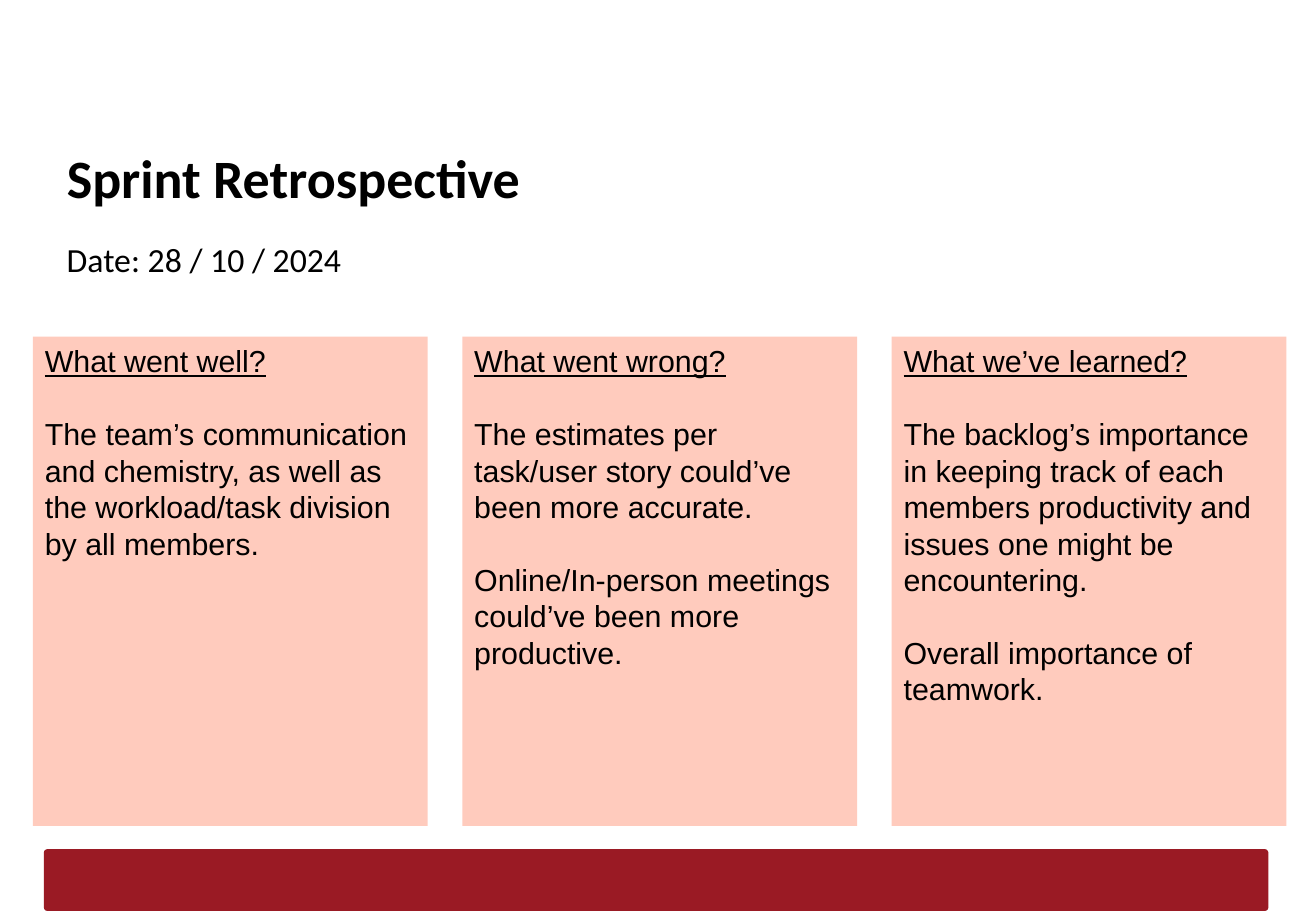
import dataclasses

import pptx
import pptx.dml.color
import pptx.enum.shapes
import pptx.enum.text
import pptx.presentation
import pptx.shapes.autoshape
import pptx.slide
import pptx.text.text
import pptx.util

Pt = pptx.util.Pt

COLORS: dict[str, str] = {
    "text": "000000",
    "column": "FFCBBD",
    "footer": "9A1A24",
}
COLUMN_LEFT = 19.5
COLUMN_TOP = 199.5
COLUMN_WIDTH = 234
COLUMN_HEIGHT = 290
COLUMN_PITCH = 254.5
COLUMN_LINE = 21.6


@dataclasses.dataclass(frozen=True)
class Box:
    left: float
    top: float
    width: float
    height: float

    def lengths(self) -> tuple[pptx.util.Length, ...]:
        return tuple(Pt(value) for value in dataclasses.astuple(self))


@dataclasses.dataclass(frozen=True)
class Column:
    heading: str
    remarks: tuple[str, ...]


COLUMNS = (
    Column(
        "What went well?",
        (
            "The team’s communication and chemistry, as well as "
            "the workload/task division by all members.",
        ),
    ),
    Column(
        "What went wrong?",
        (
            "The estimates per task/user story could’ve been more accurate.",
            "Online/In-person meetings could’ve been more productive.",
        ),
    ),
    Column(
        "What we’ve learned?",
        (
            "The backlog’s importance in keeping track of each members "
            "productivity and issues one might be encountering.",
            "Overall importance of teamwork.",
        ),
    ),
)


def color(name: str) -> pptx.dml.color.RGBColor:
    return pptx.dml.color.RGBColor.from_string(COLORS[name])


def style_paragraph(
    paragraph: pptx.text.text._Paragraph, font_name: str, size: float, bold: bool = False
) -> None:
    paragraph.alignment = pptx.enum.text.PP_ALIGN.LEFT
    paragraph.font.name = font_name
    paragraph.font.size = Pt(size)
    paragraph.font.bold = bold
    paragraph.font.color.rgb = color("text")


def prepare_frame(frame: pptx.text.text.TextFrame, side: float, edge: float) -> None:
    """Anchor wrapped text at the top, with side and top/bottom margins."""
    frame.word_wrap = True
    frame.auto_size = pptx.enum.text.MSO_AUTO_SIZE.NONE
    frame.vertical_anchor = pptx.enum.text.MSO_ANCHOR.TOP
    frame.margin_left = frame.margin_right = Pt(side)
    frame.margin_top = frame.margin_bottom = Pt(edge)


def add_panel(
    slide: pptx.slide.Slide,
    kind: pptx.enum.shapes.MSO_SHAPE,
    box: Box,
    fill: str,
) -> pptx.shapes.autoshape.Shape:
    shape = slide.shapes.add_shape(kind, *box.lengths())
    shape.shadow.inherit = False
    shape.fill.solid()
    shape.fill.fore_color.rgb = color(fill)
    shape.line.fill.background()
    return shape


def add_footer_bar(slide: pptx.slide.Slide) -> None:
    bar = add_panel(
        slide,
        pptx.enum.shapes.MSO_SHAPE.ROUNDED_RECTANGLE,
        Box(26, 503.3, 725.8, 36.7),
        "footer",
    )
    bar.adjustments[0] = 0.06


def add_heading(slide: pptx.slide.Slide) -> None:
    title = slide.shapes.title
    title.left, title.top, title.width, title.height = Box(32.4, 78.5, 712, 45.4).lengths()
    date = slide.shapes.add_textbox(*Box(32.4, 134.6, 712, 361.4).lengths())

    for shape, text, size, bold in (
        (title, "Sprint Retrospective", 32, True),
        (date, "Date: 28 / 10 / 2024", 20, False),
    ):
        prepare_frame(shape.text_frame, 7.2, 7.2)
        shape.text_frame.text = text
        style_paragraph(shape.text_frame.paragraphs[0], "Calibri", size, bold)


def add_column(slide: pptx.slide.Slide, index: int, column: Column) -> None:
    box = Box(COLUMN_LEFT + index * COLUMN_PITCH, COLUMN_TOP, COLUMN_WIDTH, COLUMN_HEIGHT)
    shape = add_panel(slide, pptx.enum.shapes.MSO_SHAPE.RECTANGLE, box, "column")
    frame = shape.text_frame
    prepare_frame(frame, 7.2, 3.6)
    frame.text = "\n".join((column.heading, *column.remarks))
    for position, paragraph in enumerate(frame.paragraphs):
        style_paragraph(paragraph, "Arial", 18)
        paragraph.line_spacing = Pt(COLUMN_LINE)
        paragraph.space_before = Pt(COLUMN_LINE if position else 0)
        paragraph.font.underline = position == 0


def main() -> None:
    presentation = pptx.Presentation()
    presentation.slide_width = Pt(780)
    presentation.slide_height = Pt(540)
    title_only = presentation.slide_layouts.get_by_name("Title Only")
    slide = presentation.slides.add_slide(title_only)

    add_footer_bar(slide)
    add_heading(slide)
    for index, column in enumerate(COLUMNS):
        add_column(slide, index, column)

    presentation.save("out.pptx")


if __name__ == "__main__":
    main()
